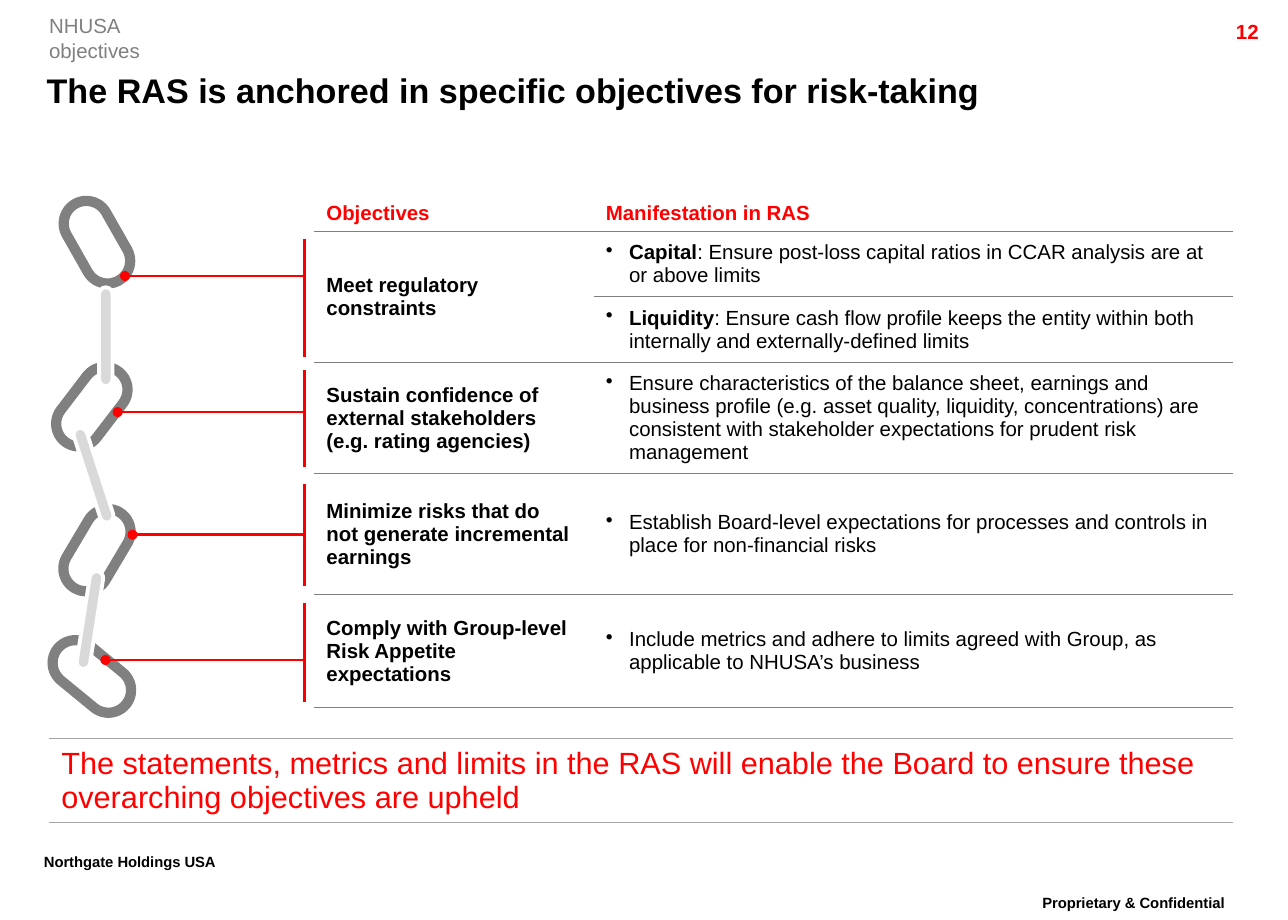
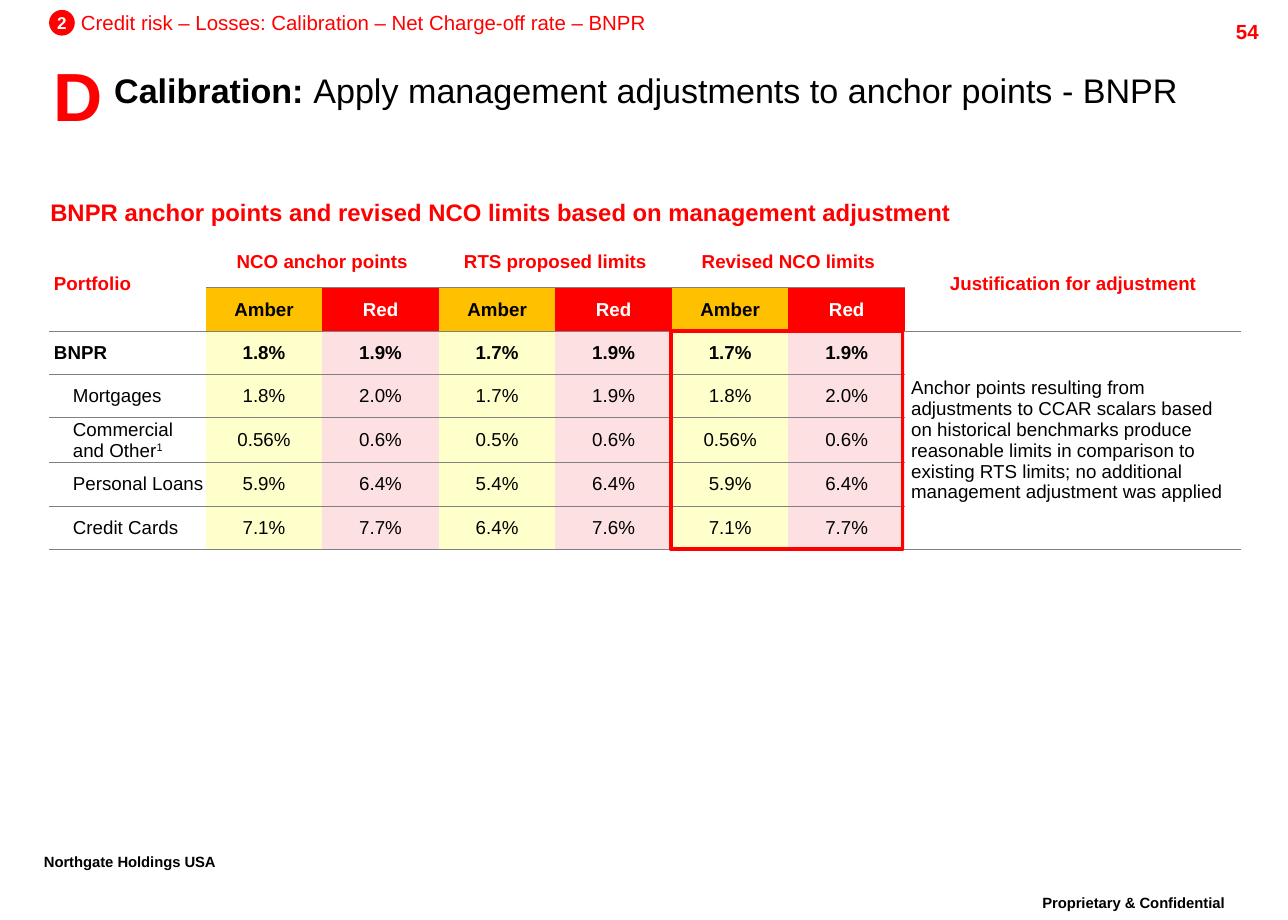
"""Build two risk appetite slides: objectives and calibrated limits."""
from lxml import etree
from pptx import Presentation
from pptx.dml.color import RGBColor
from pptx.enum.shapes import MSO_CONNECTOR, MSO_SHAPE
from pptx.enum.text import MSO_ANCHOR, MSO_AUTO_SIZE, PP_ALIGN
from pptx.oxml.ns import qn
from pptx.util import Pt

LEFT, CENTER, RIGHT = PP_ALIGN.LEFT, PP_ALIGN.CENTER, PP_ALIGN.RIGHT
TOP, MIDDLE, BOTTOM = MSO_ANCHOR.TOP, MSO_ANCHOR.MIDDLE, MSO_ANCHOR.BOTTOM
PILL, OVAL, RECTANGLE = MSO_SHAPE.ROUNDED_RECTANGLE, MSO_SHAPE.OVAL, MSO_SHAPE.RECTANGLE
STRAIGHT, NO_AUTOFIT = MSO_CONNECTOR.STRAIGHT, MSO_AUTO_SIZE.NONE
FONT = "Arial"
PLAIN_TABLE = "{2D5ABB26-0587-4C30-8999-92F81FD0307C}"
COLORS = {
    "black": "000000", "white": "FFFFFF", "red": "FF0000", "bracket": "F90000",
    "gray": "808080", "silver": "A5A5A5", "bar": "D9D9D9", "amber": "FFC000",
    "pale_amber": "FFFFCC", "pale_red": "FCE0E2",
}
INSETS = (7.2, 3.6, 7.2, 3.6)
NO_INSETS = (0, 0, 0, 0)

LINKS = [(31, 128.9, 60.4), (28, 225.4, 127.4), (31, 309.6, 120.7), (28, 383.8, 39.4)]
BARS = [(23.8, 360, 98.8), (25.9, 275, 72), (33.1, 193.7, 90)]
BRACKET_X = 178.6
BRACKETS = [
    (140.4, 209.5, 73.4, 162),
    (217.4, 274.3, 69.1, 241.9),
    (284.4, 344.2, 77.8, 313.9),
    (354.2, 411.8, 61.9, 387.4),
]
OBJECTIVES = [
    ("Meet regulatory constraints",
     [("Capital", {"bold": True}),
      (": Ensure post-loss capital ratios in CCAR analysis are at or above limits", {})]),
    (None,
     [("Liquidity", {"bold": True}),
      (": Ensure cash flow profile keeps the entity within both internally and "
       "externally-defined limits", {})]),
    ("Sustain confidence of external stakeholders (e.g. rating agencies)",
     "Ensure characteristics of the balance sheet, earnings and business profile "
     "(e.g. asset quality, liquidity, concentrations) are consistent with stakeholder "
     "expectations for prudent risk management"),
    ("Minimize risks that do not generate incremental earnings",
     "Establish Board-level expectations for processes and controls in place for "
     "non-financial risks"),
    ("Comply with Group-level Risk Appetite expectations",
     "Include metrics and adhere to limits agreed with Group, as applicable to "
     "NHUSA’s business"),
]
LIMIT_GROUPS = ["NCO anchor points", "RTS proposed limits", "Revised NCO limits"]
LIMITS = [
    ("BNPR", "1.8% 1.9% 1.7% 1.9% 1.7% 1.9%"),
    ("Mortgages", "1.8% 2.0% 1.7% 1.9% 1.8% 2.0%"),
    ([("Commercial and Other", {}), ("1", {"baseline": 30})],
     "0.56% 0.6% 0.5% 0.6% 0.56% 0.6%"),
    ("Personal Loans", "5.9% 6.4% 5.4% 6.4% 5.9% 6.4%"),
    ("Credit Cards", "7.1% 7.7% 6.4% 7.6% 7.1% 7.7%"),
]
JUSTIFICATION = (
    "Anchor points resulting from adjustments to CCAR scalars based on historical "
    "benchmarks produce reasonable limits in comparison to existing RTS limits; no "
    "additional management adjustment was applied")


def rgb(name):
    return RGBColor.from_string(COLORS[name])


def write(holder, text, size=12, color="black", bold=False, baseline=0, align=LEFT,
          anchor=TOP, insets=INSETS, bullet=False, spacing=None):
    """Fill a text frame or table cell with one formatted paragraph."""
    holder.margin_left, holder.margin_top, holder.margin_right, holder.margin_bottom = map(
        Pt, insets)
    holder.vertical_anchor = anchor
    para = getattr(holder, "text_frame", holder).paragraphs[0]
    para.alignment = align
    if spacing:
        para.line_spacing = spacing
    if bullet:
        properties = para._p.get_or_add_pPr()
        properties.set("marL", str(Pt(13.7)))
        properties.set("indent", str(-Pt(13.7)))
        etree.SubElement(properties, qn("a:buChar")).set("char", "•")
    for words, changes in [(text, {})] if isinstance(text, str) else text:
        style = {"bold": bold, "baseline": baseline, **changes}
        span = para.add_run()
        span.text = words
        span.font.name, span.font.size = FONT, Pt(size)
        span.font.bold = style["bold"]
        span.font.color.rgb = rgb(color)
        if style["baseline"]:
            span._r.get_or_add_rPr().set("baseline", str(style["baseline"] * 1000))


class DeckBuilder:
    """Hold the deck, its shared style and the current page."""

    def __init__(self):
        self.deck = Presentation()
        self.deck.slide_width, self.deck.slide_height = Pt(756), Pt(540)
        self.page = None

    def start_page(self, number, title, left=27.4):
        self.page = self.deck.slides.add_slide(self.deck.slide_layouts[5])
        box = self.page.shapes.title
        box.left, box.top, box.width, box.height = Pt(left), Pt(35.3), Pt(709.6 - left), Pt(34.6)
        box.text_frame.word_wrap = True
        box.text_frame.auto_size = NO_AUTOFIT
        write(box.text_frame, title, size=20, anchor=MIDDLE, insets=NO_INSETS)
        footer = {"size": 15, "bold": True, "baseline": 30, "spacing": 0.86}
        self.text("Proprietary & Confidential", 586.8, 522, 157, 18, align=CENTER, **footer)
        self.text("Northgate Holdings USA", 18.7, 497.5, 160, 25, **footer)
        self.text(number, 673.9, 7.9, 72, 17.3, color="red", bold=True, align=RIGHT)

    def text(self, text, left, top, width, height, wrap=True, **style):
        box = self.page.shapes.add_textbox(Pt(left), Pt(top), Pt(width), Pt(height))
        box.text_frame.word_wrap = wrap
        write(box.text_frame, text, **style)

    def shape(self, kind, left, top, width, height, fill=None, line=None, weight=1, turn=0):
        shape = self.page.shapes.add_shape(kind, Pt(left), Pt(top), Pt(width), Pt(height))
        shape.shadow.inherit = False
        shape.rotation = turn
        if kind == PILL:
            shape.adjustments[0] = 0.5
        if fill:
            shape.fill.solid()
            shape.fill.fore_color.rgb = rgb(fill)
        else:
            shape.fill.background()
        if line:
            shape.line.color.rgb = rgb(line)
            shape.line.width = Pt(weight)
        else:
            shape.line.fill.background()
        return shape

    def line(self, start, end, color, dot=False):
        line = self.page.shapes.add_connector(STRAIGHT, *map(Pt, (*start, *end)))
        line.line.color.rgb = rgb(color)
        line.line.width = Pt(1.5)
        properties = line.element.spPr
        if dot:
            etree.SubElement(properties.find(qn("a:ln")), qn("a:tailEnd")).set("type", "oval")
        etree.SubElement(properties, qn("a:effectLst"))

    def table(self, left, top, widths, heights):
        frame = self.page.shapes.add_table(
            len(heights), len(widths), Pt(left), Pt(top), Pt(sum(widths)), Pt(sum(heights)))
        next(frame.element.iter(qn("a:tableStyleId"))).text = PLAIN_TABLE
        table = frame.table
        table.first_row = table.horz_banding = False
        for column, width in zip(table.columns, widths):
            column.width = Pt(width)
        for row, height in zip(table.rows, heights):
            row.height = Pt(height)
        return table

    def cell(self, table, row, column, text, fill=None, to=None, **style):
        cell = table.cell(row, column)
        if to:
            cell.merge(table.cell(*to))
        if fill:
            cell.fill.solid()
            cell.fill.fore_color.rgb = rgb(fill)
        else:
            cell.fill.background()
        write(cell, text, **{"anchor": MIDDLE, **style})

    def edge(self, cell, side, color, weight=0.75):
        properties = cell._tc.get_or_add_tcPr()
        line = etree.Element(qn(f"a:ln{side}"), w=str(Pt(weight)))
        fill = etree.SubElement(line, qn("a:solidFill"))
        etree.SubElement(fill, qn("a:srgbClr")).set("val", COLORS[color])
        after_top = side == "B" and properties.find(qn("a:lnT")) is not None
        properties.insert(int(after_top), line)

    def rule(self, table, row, columns, color="gray"):
        for column in columns:
            self.edge(table.cell(row, column), "B", color)
            if row + 1 < len(table.rows):
                self.edge(table.cell(row + 1, column), "T", color)


def build_objectives(builder):
    """Draw the chain, the objectives table and the conclusion."""
    builder.start_page(
        "12", [("The RAS is anchored in specific objectives for risk-taking", {"bold": True})])
    builder.text("NHUSA objectives", 28.8, 7.9, 98, 14.4, wrap=False,
                 color="gray", insets=NO_INSETS)
    for left, top, turn in LINKS:
        builder.shape(PILL, left, top, 51.8, 26.6, line="gray", weight=6, turn=turn)
    for left, top, turn in BARS:
        builder.shape(PILL, left, top, 58, 7.9, fill="bar", line="white", weight=2.25, turn=turn)
    for top, bottom, dot_x, dot_y in BRACKETS:
        builder.line((BRACKET_X, dot_y), (dot_x, dot_y), "red", dot=True)
        builder.line((BRACKET_X, top), (BRACKET_X, bottom), "bracket")

    table = builder.table(184.4, 114, [164, 375.2], [21, 38.5, 38.5, 65.5, 71, 66.2])
    for column, heading in enumerate(["Objectives", "Manifestation in RAS"]):
        builder.cell(table, 0, column, heading, color="red", bold=True, anchor=BOTTOM)
    for row, (objective, manifestation) in enumerate(OBJECTIVES, 1):
        if objective:
            builder.cell(table, row, 0, objective, bold=True, insets=(7.2, 3.6, 14, 3.6),
                         to=(2, 0) if row == 1 else None)
        builder.cell(table, row, 1, manifestation, bullet=True)
    for row in range(6):
        builder.rule(table, row, [1] if row == 1 else [0, 1])

    banner = builder.table(28.8, 433.6, [694.8], [47.6])
    builder.cell(
        banner, 0, 0,
        "The statements, metrics and limits in the RAS will enable the Board to ensure these "
        "overarching objectives are upheld",
        size=18, color="red", insets=(7.2, 3, 7.2, 3))
    for side in "TB":
        builder.edge(banner.cell(0, 0), side, "silver")


def build_limits(builder):
    """Draw the calibration heading and the table of limits."""
    builder.start_page(
        "54", [("Calibration: ", {"bold": True}),
               ("Apply management adjustments to anchor points - BNPR", {})], left=67)
    builder.text("Credit risk – Losses: Calibration – Net Charge-off rate – BNPR",
                 47.5, 5.8, 334, 14.4, wrap=False, color="red", insets=NO_INSETS)
    badge = builder.shape(OVAL, 28.8, 5.8, 15.1, 15.1, fill="red")
    badge.text_frame.word_wrap = False
    write(badge.text_frame, "2", size=10, color="white", bold=True, align=CENTER,
          anchor=MIDDLE, insets=NO_INSETS)
    builder.text("D", 23.8, 28.1, 43.9, 55.4, wrap=False, size=40, color="red", bold=True,
                 align=CENTER)
    builder.text("BNPR anchor points and revised NCO limits based on management adjustment",
                 29.5, 116, 663, 17.3, size=14, color="red", bold=True, insets=NO_INSETS)

    table = builder.table(28.8, 139, [92] + [68.4] * 6 + [197.5], [30] + [25.4] * 6)
    heading = {"size": 11, "bold": True, "insets": (2.9, 2.2, 2.9, 2.2)}
    builder.cell(table, 0, 0, "Portfolio", color="red", to=(1, 0), **heading)
    builder.cell(table, 0, 7, "Justification for adjustment", color="red", to=(1, 7),
                 align=CENTER, **heading)
    for group, name in enumerate(LIMIT_GROUPS):
        first = 1 + 2 * group
        builder.cell(table, 0, first, name, color="red", to=(0, first + 1),
                     align=CENTER, **heading)
        builder.cell(table, 1, first, "Amber", fill="amber", align=CENTER, **heading)
        builder.cell(table, 1, first + 1, "Red", fill="red", color="white",
                     align=CENTER, **heading)
    for row, (portfolio, values) in enumerate(LIMITS, 2):
        total = row == 2
        builder.cell(table, row, 0, portfolio, size=11, bold=total,
                     insets=(2.9 if total else 14, 0, 0, 0))
        for column, value in enumerate(values.split(), 1):
            builder.cell(table, row, column, value, size=11, bold=total, align=CENTER,
                         insets=NO_INSETS, fill="pale_amber" if column % 2 else "pale_red")
    builder.cell(table, 2, 7, JUSTIFICATION, size=11, to=(6, 7), insets=(3.6,) * 4)

    builder.rule(table, 0, range(1, 7))
    builder.rule(table, 1, [0, 7])
    for row in range(2, 6):
        builder.rule(table, row, range(7))
    builder.rule(table, 6, range(8))
    for row, column in [(0, 0), (0, 7), (2, 7)]:
        builder.edge(table.cell(row, column), "B", "gray")
    builder.shape(RECTANGLE, 393.8, 194.4, 136, 128, line="red", weight=2.25)


def main():
    builder = DeckBuilder()
    build_objectives(builder)
    build_limits(builder)
    builder.deck.save("out.pptx")


if __name__ == "__main__":
    main()
